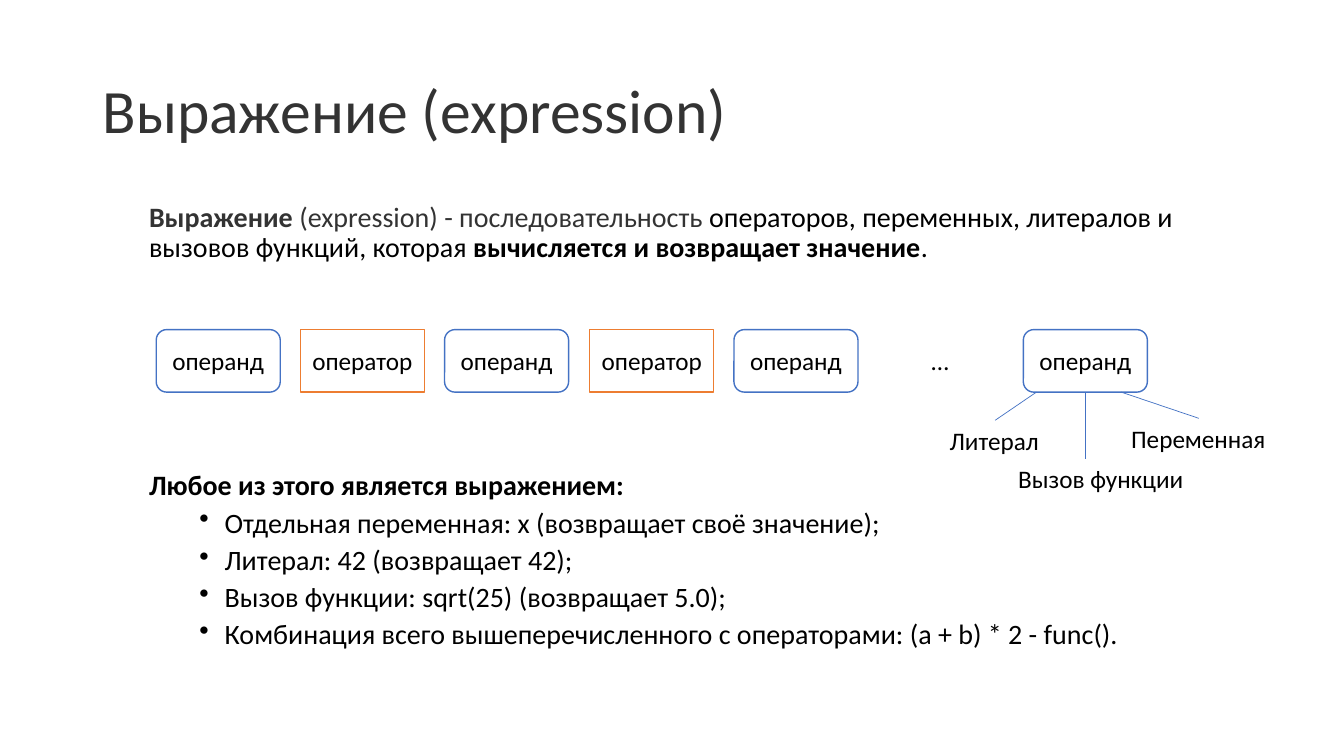
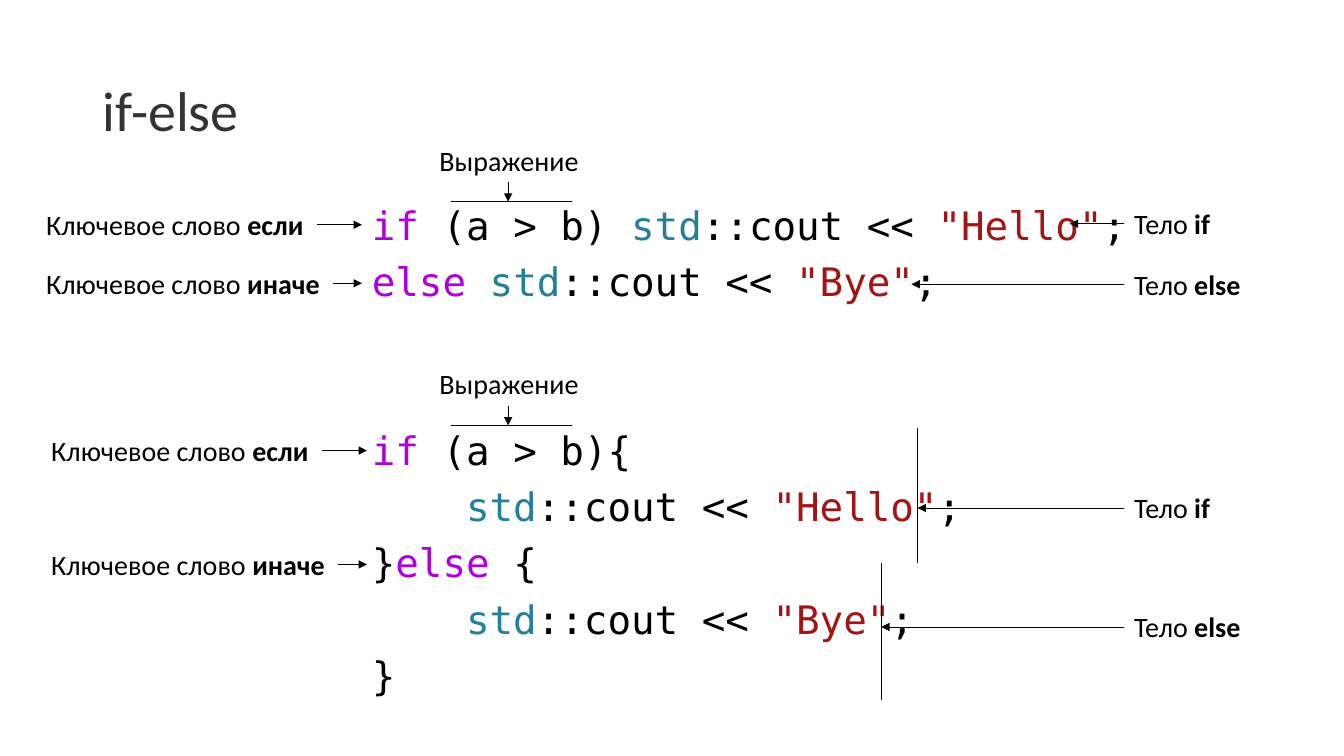
from dataclasses import dataclass
from typing import Any, NamedTuple

import lxml.etree
import pptx
import pptx.dml.color
import pptx.enum.shapes
import pptx.enum.text
import pptx.oxml.ns
import pptx.util

EMU_PER_PX = 9144  # 100 px to the inch
SLIDE_WIDTH, SLIDE_HEIGHT = 1333, 750
COLORS = {
    "paper": "FFFFFF", "text": "000000", "title": "333333",
    "operand": "4472C4", "operator": "ED7D31",
    "keyword": "AF00DB", "namespace": "267F99", "string": "A31515",
}
BODY_FONT, CODE_FONT = "Calibri", "DejaVu Sans Mono"
ANCHOR = pptx.enum.text.MSO_ANCHOR
SHAPE = pptx.enum.shapes.MSO_SHAPE
LABEL_HEIGHT = 44


class Run(NamedTuple):
    text: str
    color: str = "text"
    bold: bool = False


class Box(NamedTuple):
    left: int
    top: int
    width: int
    height: int


@dataclass(frozen=True)
class Paragraph:
    runs: tuple[Run, ...]
    before: int = 0
    bulleted: bool = False


@dataclass(frozen=True)
class TextStyle:
    size: int
    font: str = BODY_FONT
    line_spacing: float = 1.0
    align: Any = pptx.enum.text.PP_ALIGN.LEFT


@dataclass(frozen=True)
class Term:
    text: str
    shape: Any
    outline: str | None


@dataclass(frozen=True)
class Callout:
    """A label whose arrow leaves its nearest side and ends at x = tip."""
    box: Box
    lead: str
    strong: str
    tip: int


BODY = TextStyle(20, line_spacing=0.9)
CODE = TextStyle(28, CODE_FONT, 0.9)
LABEL = TextStyle(20)
SMALL_LABEL = TextStyle(18)
TERM = TextStyle(18, align=pptx.enum.text.PP_ALIGN.CENTER)

DEFINITION = [Paragraph((
    Run("Выражение", "title", True),
    Run(" (expression) - последовательность", "title"),
    Run(" операторов, переменных, литералов и вызовов функций, которая "),
    Run("вычисляется и возвращает значение", bold=True),
    Run("."),
))]
EXAMPLES = [
    Paragraph((Run("Любое из этого является выражением:", bold=True),)),
    *(Paragraph((Run(text),), 5, True) for text in (
        "Отдельная переменная: x (возвращает своё значение);",
        "Литерал: 42 (возвращает 42);",
        "Вызов функции: sqrt(25) (возвращает 5.0);",
        "Комбинация всего вышеперечисленного с операторами: (a + b) * 2 - func().",
    )),
]
OPERAND = Term("операнд", SHAPE.ROUNDED_RECTANGLE, "operand")
OPERATOR = Term("оператор", SHAPE.RECTANGLE, "operator")
ELLIPSIS = Term("…", SHAPE.RECTANGLE, None)
TERMS = [OPERAND, OPERATOR, OPERAND, OPERATOR, OPERAND, ELLIPSIS, OPERAND]
OPERAND_KINDS = [  # label, its box, and its line
    ("Литерал", Box(932, 417, 110, 40), (1028, 389, 987, 417)),
    ("Переменная", Box(1112, 415, 155, 40), (1112, 389, 1189, 415)),
    ("Вызов функции", Box(1000, 455, 186, 40), (1076, 389, 1076, 455)),
]


def print_runs(greeting: str) -> tuple[Run, ...]:
    return (Run("std", "namespace"), Run("::cout << "),
            Run(f'"{greeting}"', "string"), Run(";"))


IF, ELSE = Run("if", "keyword"), Run("else", "keyword")
INDENT = Run("    ")
SHORT_FORM = [
    (IF, Run(" (a > b) "), *print_runs("Hello")),
    (ELSE, Run(" "), *print_runs("Bye")),
]
BLOCK_FORM = [
    (IF, Run(" (a > b){")),
    (INDENT, *print_runs("Hello")),
    (Run("}"), ELSE, Run(" {")),
    (INDENT, *print_runs("Bye")),
    (Run("}"),),
]


def keyword_callout(left: int, top: int, word: str, width: int) -> Callout:
    return Callout(Box(left, top, width, LABEL_HEIGHT), "Ключевое слово ", word, left + 323)


def body_callout(top: int, word: str, width: int, tip: int) -> Callout:
    return Callout(Box(1115, top, width, LABEL_HEIGHT), "Тело ", word, tip)


CALLOUTS = [
    keyword_callout(36, 201, "если", 278),
    keyword_callout(36, 259, "иначе", 294),
    keyword_callout(41, 425, "если", 278),
    keyword_callout(41, 538, "иначе", 294),
    body_callout(200, "if", 95, 1061),
    body_callout(260, "else", 126, 904),
    body_callout(482, "if", 95, 910),
    body_callout(600, "else", 126, 874),
]
CONDITION_TOPS = [137, 359]
BODY_BRACKETS = [(910, 425, 559), (874, 559, 694)]


def px(length: int) -> int:
    return pptx.util.Emu(length * EMU_PER_PX)


def rgb(name: str) -> pptx.dml.color.RGBColor:
    return pptx.dml.color.RGBColor.from_string(COLORS[name])


def apply(target: Any, values: dict[str, Any]) -> None:
    """Set every attribute named in values on target."""
    for attribute, value in values.items():
        setattr(target, attribute, value)


def add_bullet(paragraph: Any) -> None:
    properties = paragraph._p.get_or_add_pPr()
    properties.set("marL", str(px(75)))
    properties.set("indent", str(px(-25)))
    bullet = lxml.etree.SubElement(properties, pptx.oxml.ns.qn("a:buChar"))
    bullet.set("char", "•")


def write(frame: Any, paragraphs: list[Paragraph], style: TextStyle) -> None:
    for index, content in enumerate(paragraphs):
        paragraph = frame.add_paragraph() if index else frame.paragraphs[0]
        apply(paragraph, {
            "alignment": style.align,
            "line_spacing": style.line_spacing,
            "space_before": pptx.util.Pt(content.before),
        })
        if content.bulleted:
            add_bullet(paragraph)
        for part in content.runs:
            run = paragraph.add_run()
            run.text = part.text
            apply(run.font, {
                "name": style.font,
                "size": pptx.util.Pt(style.size),
                "bold": part.bold,
            })
            run.font.color.rgb = rgb(part.color)


def add_text(slide: Any, box: Box, paragraphs: list[Paragraph], style: TextStyle,
             wrap: bool = True, anchor: Any = ANCHOR.TOP) -> None:
    frame = slide.shapes.add_textbox(*map(px, box)).text_frame
    apply(frame, {"word_wrap": wrap, "vertical_anchor": anchor})
    write(frame, paragraphs, style)


def add_label(slide: Any, box: Box, style: TextStyle, *runs: Run) -> None:
    add_text(slide, box, [Paragraph(runs)], style, wrap=False)


def add_line(slide: Any, x1: int, y1: int, x2: int, y2: int,
             color: str = "text", arrow: bool = False) -> None:
    line = slide.shapes.add_connector(
        pptx.enum.shapes.MSO_CONNECTOR.STRAIGHT, px(x1), px(y1), px(x2), px(y2))
    line.line.color.rgb = rgb(color)
    line.line.width = pptx.util.Pt(0.5)
    properties = line.element.spPr
    if arrow:
        outline = properties.find(pptx.oxml.ns.qn("a:ln"))
        head = lxml.etree.SubElement(outline, pptx.oxml.ns.qn("a:tailEnd"))
        head.set("type", "triangle")
    lxml.etree.SubElement(properties, pptx.oxml.ns.qn("a:effectLst"))


def add_titled_slide(deck: Any, title: str, size: int) -> Any:
    slide = deck.slides.add_slide(deck.slide_layouts[6])
    add_text(slide, Box(92, 40, 1150, 145), [Paragraph((Run(title, "title"),))],
             TextStyle(size, line_spacing=0.9), anchor=ANCHOR.MIDDLE)
    return slide


def add_term(slide: Any, box: Box, term: Term) -> None:
    shape = slide.shapes.add_shape(term.shape, *map(px, box))
    shape.shadow.inherit = False
    shape.fill.solid()
    shape.fill.fore_color.rgb = rgb("paper")
    if term.outline:
        shape.line.color.rgb = rgb(term.outline)
        shape.line.width = pptx.util.Pt(1)
    else:
        shape.line.fill.background()
    apply(shape.text_frame, {"word_wrap": True, "vertical_anchor": ANCHOR.MIDDLE})
    write(shape.text_frame, [Paragraph((Run(term.text),))], TERM)


def add_callout(slide: Any, callout: Callout) -> None:
    box = callout.box
    add_label(slide, box, LABEL, Run(callout.lead), Run(callout.strong, bold=True))
    start = box.left if callout.tip < box.left else box.left + box.width
    middle = box.top + box.height // 2
    add_line(slide, start, middle, callout.tip, middle, arrow=True)


def add_condition_mark(slide: Any, top: int) -> None:
    """Label the condition, with an arrow down to the line above it."""
    add_label(slide, Box(426, top, 160, LABEL_HEIGHT), LABEL, Run("Выражение"))
    rule = top + 63
    add_line(slide, 504, top + LABEL_HEIGHT, 504, rule, arrow=True)
    add_line(slide, 447, rule, 567, rule)


def add_code(slide: Any, box: Box, lines: list[tuple[Run, ...]]) -> None:
    add_text(slide, box, [Paragraph(line, 10 if index else 0)
                          for index, line in enumerate(lines)], CODE)


def build_expression_slide(deck: Any) -> None:
    slide = add_titled_slide(deck, "Выражение (expression)", 44)
    add_text(slide, Box(138, 197, 1104, 80), DEFINITION, BODY)
    add_text(slide, Box(138, 463, 1104, 210), EXAMPLES, BODY)
    first_left, last_left = 155, 1015
    for index, term in enumerate(TERMS):
        left = first_left + (last_left - first_left) * index // (len(TERMS) - 1)
        add_term(slide, Box(left, 327, 123, 62), term)
    for kind, box, ends in OPERAND_KINDS:
        add_label(slide, box, SMALL_LABEL, Run(kind))
        add_line(slide, *ends, color="operand")


def build_if_else_slide(deck: Any) -> None:
    slide = add_titled_slide(deck, "if-else", 40)
    add_code(slide, Box(359, 200, 883, 120), SHORT_FORM)
    add_code(slide, Box(359, 423, 883, 290), BLOCK_FORM)
    for top in CONDITION_TOPS:
        add_condition_mark(slide, top)
    for callout in CALLOUTS:
        add_callout(slide, callout)
    for x, top, bottom in BODY_BRACKETS:
        add_line(slide, x, top, x, bottom)


def main() -> None:
    deck = pptx.Presentation()
    apply(deck, {"slide_width": px(SLIDE_WIDTH), "slide_height": px(SLIDE_HEIGHT)})
    build_expression_slide(deck)
    build_if_else_slide(deck)
    deck.save("out.pptx")


if __name__ == "__main__":
    main()
